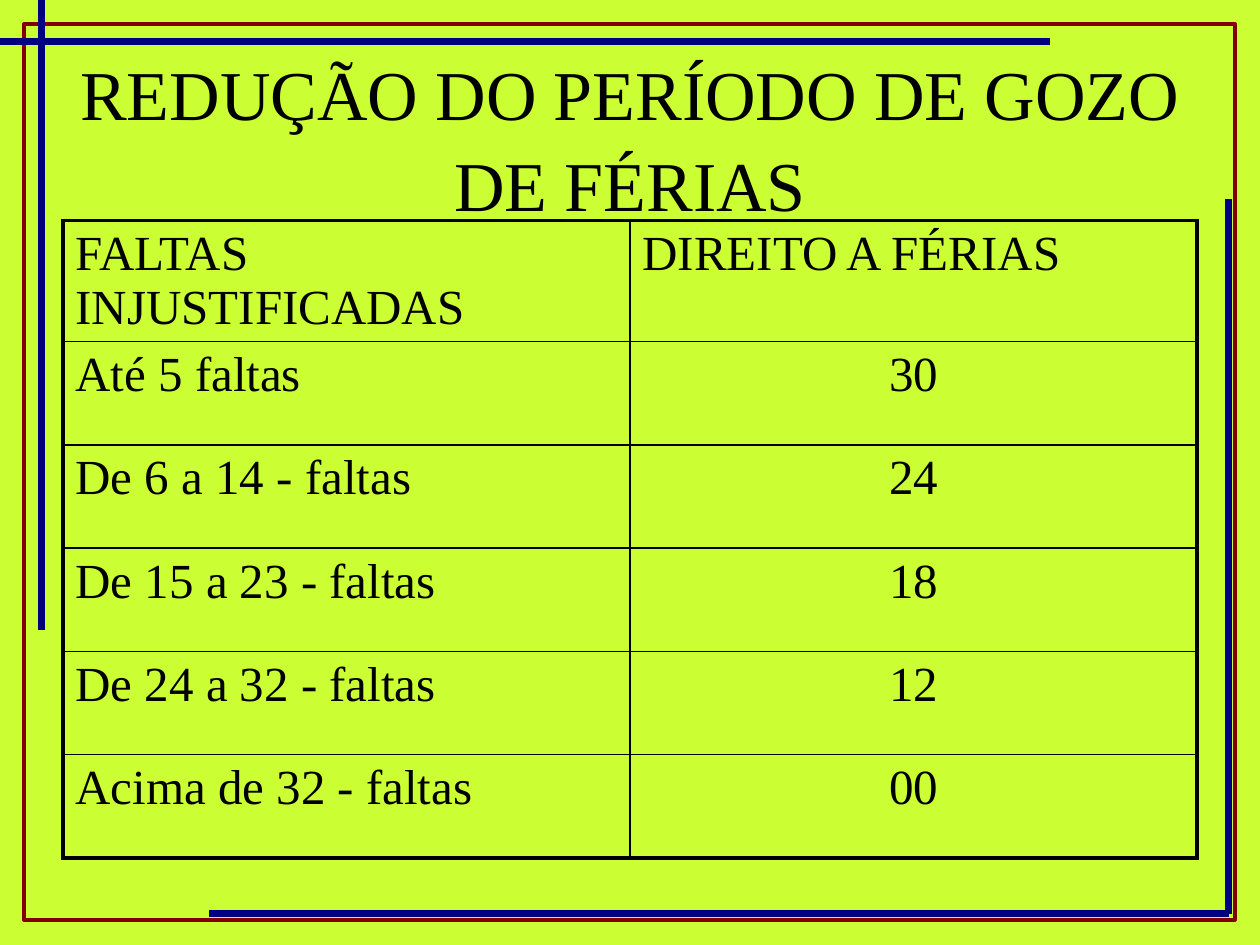
import dataclasses

import pptx
import pptx.dml.color
import pptx.enum.shapes
import pptx.enum.text
import pptx.oxml
import pptx.oxml.ns
import pptx.util
from pptx.util import Inches

ALIGN = pptx.enum.text.PP_ALIGN


@dataclasses.dataclass(frozen=True)
class Theme:
    font: str = "Times New Roman"
    background: str = "CCFF33"
    text: str = "000000"
    frame: str = "800000"
    bar: str = "000080"
    title_size: int = 40
    body_size: int = 28
    frame_width: float = 2.25
    bar_width: float = 3.75
    outer_border: float = 2.25
    inner_border: float = 1


class SlideBuilder:
    """Holds the theme and the current slide and draws each kind of element."""

    def __init__(self, prs, theme):
        self.theme = theme
        self.s = prs.slides.add_slide(prs.slide_layouts[5])
        fill = self.s.background.fill
        fill.solid()
        fill.fore_color.rgb = self.rgb(theme.background)

    def rgb(self, value):
        return pptx.dml.color.RGBColor.from_string(value)

    def add_text(self, p, text, size, align):
        p.alignment = align
        r = p.add_run()
        r.text = text
        r.font.name = self.theme.font
        r.font.size = pptx.util.Pt(size)
        r.font.color.rgb = self.rgb(self.theme.text)

    def title(self, text, x, y, w, h):
        sp = self.s.shapes.title
        sp.left, sp.top, sp.width, sp.height = map(Inches, (x, y, w, h))
        tf = sp.text_frame
        tf.word_wrap = True
        tf.auto_size = pptx.enum.text.MSO_AUTO_SIZE.NONE
        tf.vertical_anchor = pptx.enum.text.MSO_ANCHOR.TOP
        p = tf.paragraphs[0]
        p.line_spacing = 1.08
        self.add_text(p, text, self.theme.title_size, ALIGN.CENTER)

    def frame(self, x, y, w, h):
        rectangle = pptx.enum.shapes.MSO_SHAPE.RECTANGLE
        sp = self.s.shapes.add_shape(rectangle, *map(Inches, (x, y, w, h)))
        sp.shadow.inherit = False
        sp.fill.background()
        sp.line.color.rgb = self.rgb(self.theme.frame)
        sp.line.width = pptx.util.Pt(self.theme.frame_width)

    def bar(self, x1, y1, x2, y2):
        straight = pptx.enum.shapes.MSO_CONNECTOR.STRAIGHT
        line = self.s.shapes.add_connector(straight, *map(Inches, (x1, y1, x2, y2)))
        line.line.color.rgb = self.rgb(self.theme.bar)
        line.line.width = pptx.util.Pt(self.theme.bar_width)
        effects = pptx.oxml.parse_xml(f"<a:effectLst {pptx.oxml.ns.nsdecls('a')}/>")
        line._element.spPr.append(effects)

    def borders(self, cell, outer_sides):
        tcPr = cell._tc.get_or_add_tcPr()
        for i, side in enumerate("LRTB"):
            outer = side in outer_sides
            width = self.theme.outer_border if outer else self.theme.inner_border
            tcPr.insert(i, pptx.oxml.parse_xml(
                f'<a:ln{side} {pptx.oxml.ns.nsdecls("a")} w="{pptx.util.Pt(width)}">'
                f'<a:solidFill><a:srgbClr val="{self.theme.text}"/></a:solidFill>'
                f'</a:ln{side}>'))

    def table(self, rows, x, y, w, heights):
        n_rows, n_cols = len(rows), len(rows[0])
        sp = self.s.shapes.add_table(
            n_rows, n_cols, *map(Inches, (x, y, w, sum(heights))))
        table = sp.table
        table.first_row = table.horz_banding = False
        for i, (values, height) in enumerate(zip(rows, heights)):
            table.rows[i].height = Inches(height)
            for j, text in enumerate(values):
                cell = table.cell(i, j)
                cell.fill.background()
                edges = {"L": j == 0, "R": j == n_cols - 1,
                         "T": i == 0, "B": i == n_rows - 1}
                self.borders(cell, [side for side, outer in edges.items() if outer])
                align = ALIGN.CENTER if i and j else ALIGN.LEFT
                p = cell.text_frame.paragraphs[0]
                self.add_text(p, text, self.theme.body_size, align)


def main():
    prs = pptx.Presentation()
    prs.slide_width, prs.slide_height = Inches(10), Inches(7.5)
    slide = SlideBuilder(prs, Theme())
    slide.frame(0.19, 0.19, 9.61, 7.11)
    for ends in [(0.33, 0, 0.33, 5), (0, 0.33, 8.33, 0.33),
                 (9.75, 1.58, 9.75, 7.25), (1.66, 7.25, 9.75, 7.25)]:
        slide.bar(*ends)
    slide.title("REDUÇÃO DO PERÍODO DE GOZO DE FÉRIAS", 0.5, 0.3, 9, 1.25)
    rows = [
        ("FALTAS INJUSTIFICADAS", "DIREITO A FÉRIAS"),
        ("Até 5 faltas", "30"),
        ("De 6 a 14 - faltas", "24"),
        ("De 15 a 23 - faltas", "18"),
        ("De 24 a 32 - faltas", "12"),
        ("Acima de 32 - faltas", "00"),
    ]
    slide.table(rows, 0.5, 1.75, 9, [0.96] + [0.82] * 5)
    prs.save("out.pptx")


if __name__ == "__main__":
    main()
